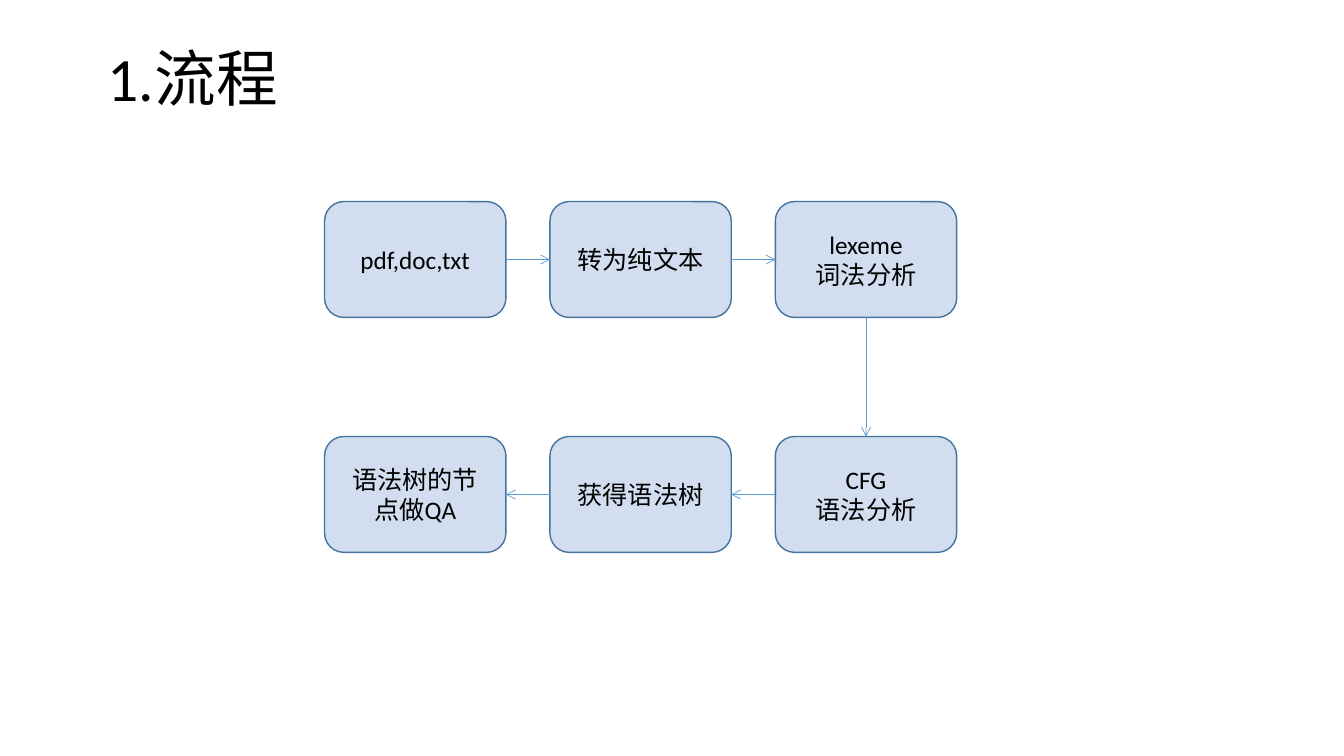
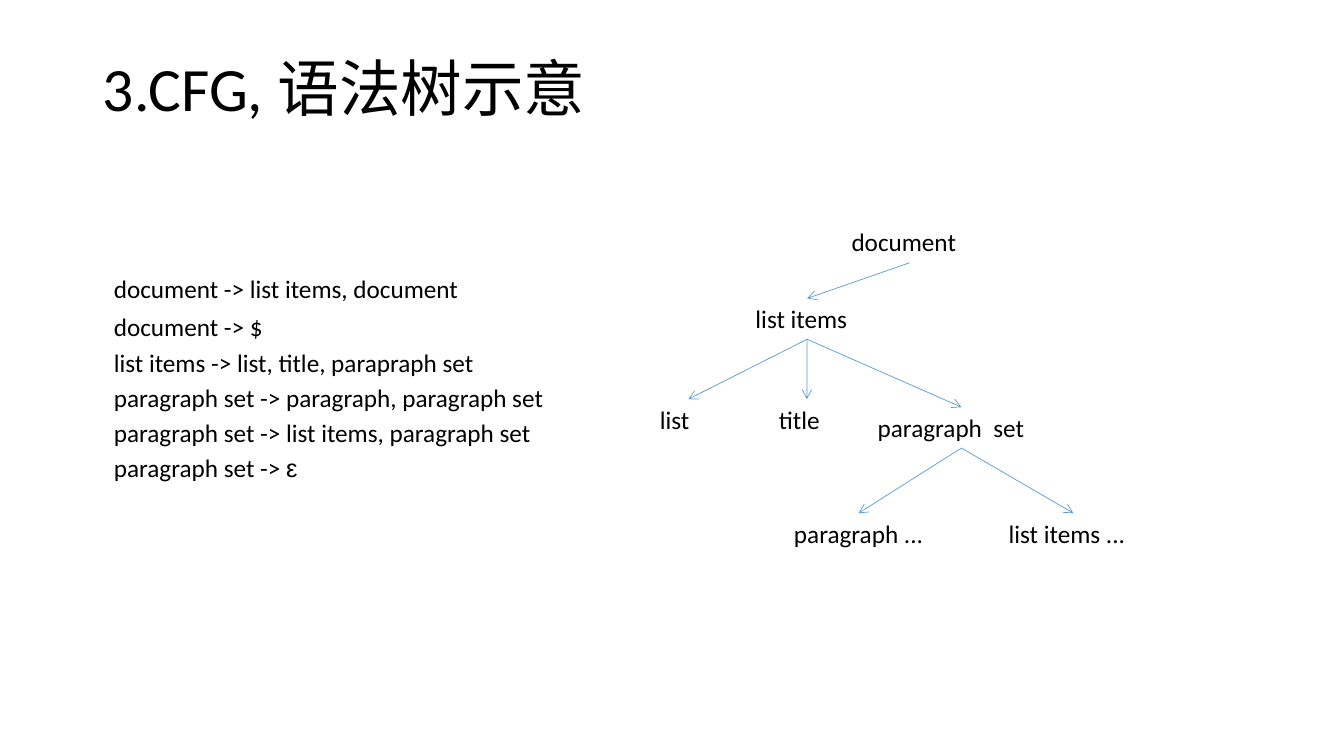
from lxml import etree
from pptx import Presentation
from pptx.dml.color import RGBColor
from pptx.enum.shapes import MSO_CONNECTOR as Link, MSO_SHAPE as Shape
from pptx.enum.text import MSO_ANCHOR as Anchor, MSO_AUTO_SIZE as Fit, PP_ALIGN as Align
from pptx.oxml.ns import qn
from pptx.util import Cm, Pt

FONT, INK = "Calibri", "000000"
FILL, EDGE, ARROW = "D2DEEF", "43739E", "5B9BD5"
TOP, LEFT, BOTTOM, RIGHT = range(4)


def color(code):
    """Turn a hex string into a colour."""
    return RGBColor.from_string(code)


def style(frame, size, align=Align.LEFT):
    """Give all text in a frame the shared look."""
    frame.word_wrap = True
    for para in frame.paragraphs:
        para.alignment = align
        for run in para.runs:
            run.font.name = FONT
            run.font.size = Pt(size)
            run.font.color.rgb = color(INK)


def add_page(deck, text, left, top):
    """Add a title-only slide and place its title."""
    page = deck.slides.add_slide(deck.slide_layouts[5])
    title = page.shapes.title
    title.left, title.top, title.width, title.height = map(Cm, (left, top, 29.21, 2.57))
    frame = title.text_frame
    frame.text = text
    frame.auto_size = Fit.NONE
    frame.vertical_anchor = Anchor.MIDDLE
    frame.paragraphs[0].line_spacing = 0.9
    style(frame, 44)
    return page


def add_arrow(page, start, out, end, into):
    """Join two shapes with a thin arrow."""
    arrow = page.shapes.add_connector(Link.STRAIGHT, 0, 0, 0, 0)
    arrow.begin_connect(start, out)
    arrow.end_connect(end, into)
    arrow.line.color.rgb = color(ARROW)
    arrow.line.width = Pt(0.5)
    props = arrow.line._get_or_add_ln()
    etree.SubElement(props, qn("a:tailEnd"), type="arrow")
    etree.SubElement(props.getparent(), qn("a:effectLst"))


def add_step(page, text, left, top, width, height):
    """Add one rounded box of the flow."""
    step = page.shapes.add_shape(
        Shape.FLOWCHART_ALTERNATE_PROCESS, *map(Cm, (left, top, width, height)))
    step.shadow.inherit = False
    step.fill.solid()
    step.fill.fore_color.rgb = color(FILL)
    step.line.color.rgb = color(EDGE)
    step.line.width = Pt(1)
    step.text_frame.text = text
    step.text_frame.vertical_anchor = Anchor.MIDDLE
    style(step.text_frame, 18, Align.CENTER)
    return step


def add_flow(page, left, top, width, height):
    """Lay out the steps in two rows, the second running back."""
    wide, high = 4.57, 2.92
    across, down = (width - wide) / 2, height - high
    steps = [
        ("pdf,doc,txt", 0, 0), ("转为纯文本", 1, 0), ("lexeme\n词法分析", 2, 0),
        ("CFG\n语法分析", 2, 1), ("获得语法树", 1, 1), ("语法树的节点做QA", 0, 1),
    ]
    boxes = [add_step(page, text, left + col * across, top + row * down, wide, high)
             for text, col, row in steps]
    sides = [(RIGHT, LEFT)] * 2 + [(BOTTOM, TOP)] + [(LEFT, RIGHT)] * 2
    for start, end, (out, into) in zip(boxes, boxes[1:], sides):
        add_arrow(page, start, out, end, into)


def add_rules(page, left, top, width, height):
    """List the grammar rules."""
    frame = page.shapes.add_textbox(*map(Cm, (left, top, width, height))).text_frame
    frame.text = "\n".join([
        "document -> list items, document",
        "document -> $",
        "list items -> list, title, parapraph set",
        "paragraph set -> paragraph, paragraph set",
        "paragraph set -> list items, paragraph set",
        "paragraph set -> ",
    ])
    paras = frame.paragraphs
    paras[-1].add_run().text = "ԑ"
    style(frame, 18)
    paras[-1].runs[-1].font.name = "Arial"
    for para in paras:
        para.line_spacing = 0.7
        para.space_before = Pt(10)
        para._p.get_or_add_pPr().set("marL", str(Cm(0.28)))
    paras[0].space_before = Pt(0)
    paras[0].space_after = Pt(2)


def add_tree(page, left, top):
    """Draw the syntax tree from its top left corner."""
    nodes = {
        "document": (4.83, 0, 3.43),
        "list items": (2.41, 1.93, 3.1),
        "list": (0, 4.47, 1.93),
        "title": (3, 4.47, 1.91),
        "paragraph  set": (5.49, 4.67, 4.72),
        "paragraph ...": (3.38, 7.34, 3.76),
        "list items ...": (8.79, 7.34, 3.76),
    }
    links = {
        "document": ["list items"],
        "list items": ["list", "title", "paragraph  set"],
        "paragraph  set": ["paragraph ...", "list items ..."],
    }
    boxes = {}
    for text, (x, y, width) in nodes.items():
        box = page.shapes.add_textbox(*map(Cm, (left + x, top + y, width, 1.03)))
        box.text_frame.text = text
        style(box.text_frame, 18)
        boxes[text] = box
    for parent, kids in links.items():
        for kid in kids:
            add_arrow(page, boxes[parent], BOTTOM, boxes[kid], TOP)


def main():
    """Build and save both slides."""
    deck = Presentation()
    deck.slide_width, deck.slide_height = Cm(33.87), Cm(19.05)
    page = add_page(deck, "1.流程", 2.46, 0.76)
    add_flow(page, 8.18, 5.08, 15.93, 8.84)
    page = add_page(deck, "3.CFG, 语法树示意", 2.34, 1.02)
    add_rules(page, 2.34, 6.98, 13.5, 8.16)
    add_tree(page, 16.38, 5.59)
    deck.save("out.pptx")


main()
